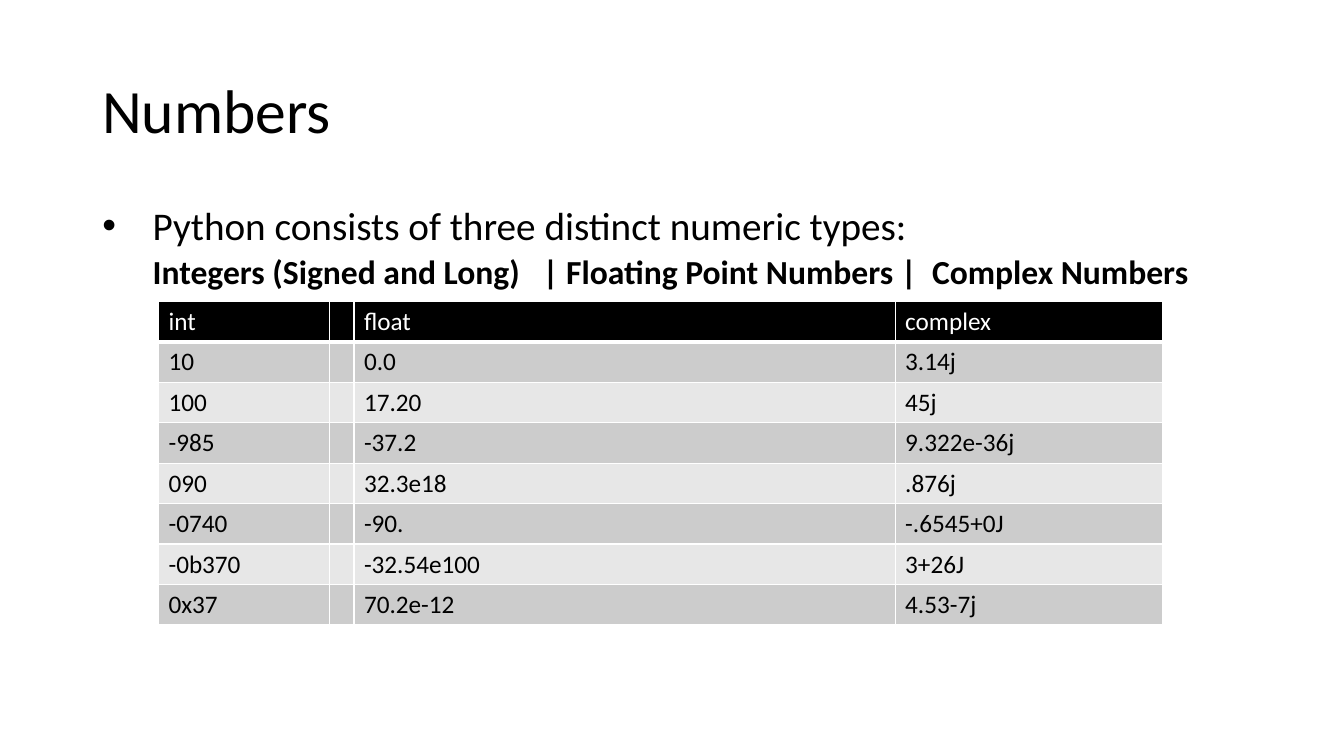
from lxml.etree import SubElement
from pptx import Presentation
from pptx.dml.color import RGBColor
from pptx.enum.text import MSO_ANCHOR
from pptx.oxml import parse_xml
from pptx.oxml.ns import nsdecls, qn
from pptx.util import Pt

FONT = "Calibri"
BLACK = RGBColor(0x00, 0x00, 0x00)
WHITE = RGBColor(0xFF, 0xFF, 0xFF)
DARK_BAND = RGBColor(0xCC, 0xCC, 0xCC)
LIGHT_BAND = RGBColor(0xE7, 0xE7, 0xE7)

COLUMN_WIDTHS = (122.4, 16.9, 386.6, 190.8)
ROW_HEIGHT = 28.9
NUMBER_ROWS = (
    ("int ", "", "float", "complex"),
    ("10", "", "0.0", "3.14j"),
    ("100", "", "17.20", "45j"),
    ("-985 ", "", "-37.2", "9.322e-36j"),
    ("090 ", "", "32.3e18", ".876j"),
    ("-0740", "", "-90.", "-.6545+0J"),
    ("-0b370", "", "-32.54e100", "3+26J"),
    ("0x37", "", "70.2e-12", "4.53-7j"),
)


def format_runs(paragraph, size, color, bold=False):
    for run in paragraph.runs:
        run.font.name = FONT
        run.font.size = Pt(size)
        run.font.bold = bold
        run.font.color.rgb = color


def add_text_frame(slide, left, top, width, height, anchor):
    box = slide.shapes.add_textbox(Pt(left), Pt(top), Pt(width), Pt(height))
    text_frame = box.text_frame
    text_frame.word_wrap = True
    text_frame.vertical_anchor = anchor
    return text_frame


def set_paragraph(paragraph, text, size, space_before=0, bold=False):
    paragraph.text = text
    paragraph.line_spacing = 0.9
    paragraph.space_before = Pt(space_before)
    format_runs(paragraph, size, BLACK, bold)


def set_indent(paragraph, left, first_line=0, bullet=None):
    properties = paragraph._p.get_or_add_pPr()
    properties.set("marL", str(Pt(left)))
    properties.set("indent", str(Pt(first_line)))
    if bullet:
        SubElement(properties, qn("a:buFont")).set("typeface", "Arial")
        SubElement(properties, qn("a:buChar")).set("char", bullet)


def set_borders(cell, top, bottom):
    """Draw white borders; top and bottom are widths in points."""
    properties = cell._tc.get_or_add_tcPr()
    sides = (("lnL", 1), ("lnR", 1), ("lnT", top), ("lnB", bottom))
    for position, (tag, width) in enumerate(sides):
        properties.insert(position, parse_xml(
            f'<a:{tag} {nsdecls("a")} w="{Pt(width)}"><a:solidFill>'
            f'<a:srgbClr val="{WHITE}"/></a:solidFill></a:{tag}>'))


def add_number_table(slide, left, top):
    frame = slide.shapes.add_table(
        len(NUMBER_ROWS), len(COLUMN_WIDTHS), Pt(left), Pt(top),
        Pt(sum(COLUMN_WIDTHS)), Pt(ROW_HEIGHT * len(NUMBER_ROWS)))
    table = frame.table
    for column, width in zip(table.columns, COLUMN_WIDTHS):
        column.width = Pt(width)
    for index, (row, texts) in enumerate(zip(table.rows, NUMBER_ROWS)):
        row.height = Pt(ROW_HEIGHT)
        is_header = index == 0
        band = BLACK if is_header else DARK_BAND if index % 2 else LIGHT_BAND
        for cell, text in zip(row.cells, texts):
            cell.fill.solid()
            cell.fill.fore_color.rgb = band
            set_borders(cell, 3 if index == 1 else 1, 3 if is_header else 1)
            if text:
                cell.text_frame.text = text
                format_runs(cell.text_frame.paragraphs[0], 18,
                            WHITE if is_header else BLACK)


def main():
    presentation = Presentation()
    presentation.slide_width = Pt(960)
    presentation.slide_height = Pt(540)
    slide = presentation.slides.add_slide(presentation.slide_layouts[6])

    title = add_text_frame(slide, 66, 28.8, 828, 104.4, MSO_ANCHOR.MIDDLE)
    set_paragraph(title.paragraphs[0], "Numbers", 44)

    body = add_text_frame(slide, 66, 144, 828, 342.7, MSO_ANCHOR.TOP)
    statement = body.paragraphs[0]
    set_paragraph(statement, "Python consists of three distinct numeric types:",
                  28, space_before=10)
    set_indent(statement, 36, first_line=-36, bullet="•")
    types = body.add_paragraph()
    types.level = 1
    set_paragraph(types, "Integers (Signed and Long)   | Floating Point Numbers |  Complex Numbers",
                  24, space_before=5, bold=True)
    set_indent(types, 36)

    add_number_table(slide, 113.2, 215.3)
    presentation.save("out.pptx")


if __name__ == "__main__":
    main()
